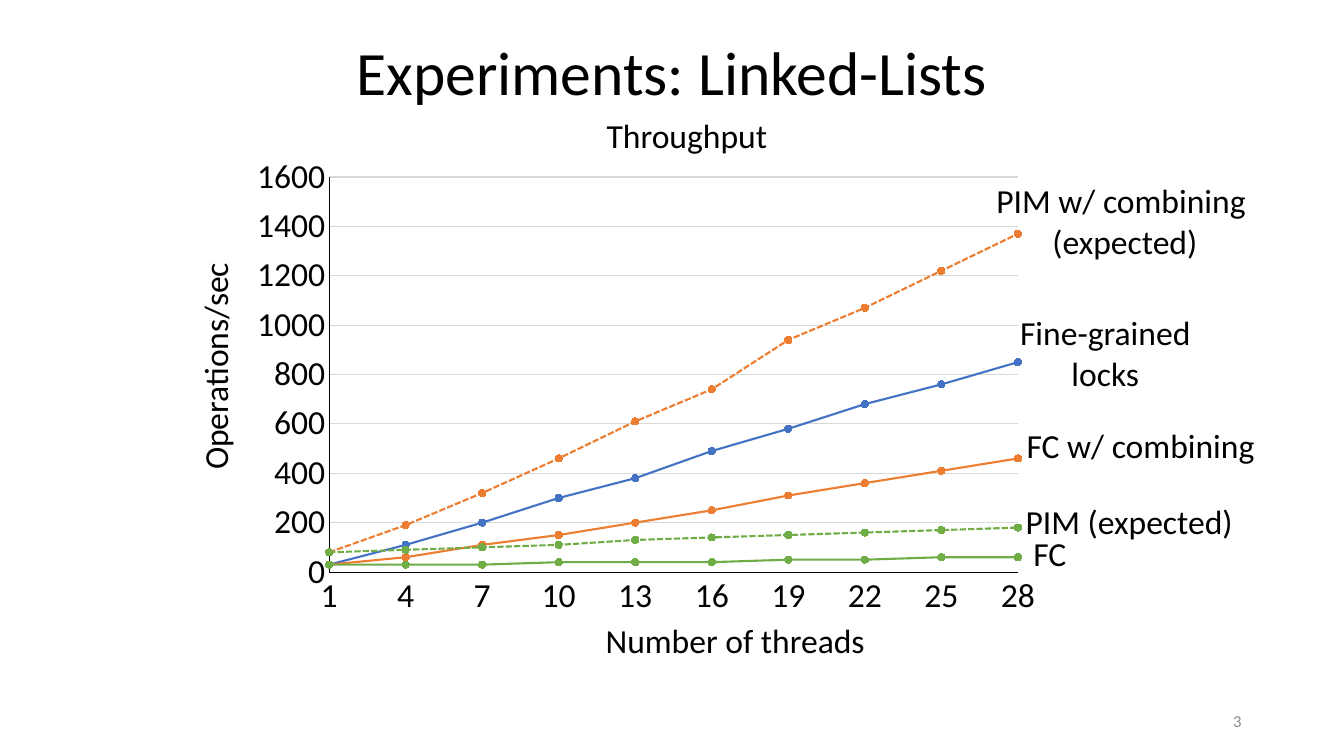
from lxml import etree
from pptx import Presentation
from pptx.chart.data import XyChartData
from pptx.dml.color import RGBColor
from pptx.enum import chart as chart_enum, dml, text
from pptx.oxml import ns
from pptx.util import Pt

FONT = "Calibri"
BLACK, GREY, GRID = "000000", "8C8C8C", "D9D9D9"
GREEN, ORANGE, BLUE = "70AD47", "ED7D31", "4472C4"
LEFT, CENTER, RIGHT = text.PP_ALIGN.LEFT, text.PP_ALIGN.CENTER, text.PP_ALIGN.RIGHT


def color(hex_value):
    """Turn a hex string into a colour."""
    return RGBColor.from_string(hex_value)


def add_text(lines, left, top, width, height, size=24, hex_value=BLACK,
             align=CENTER, wrap=True):
    """Add a text box with one paragraph per line, and return it."""
    box = slide.shapes.add_textbox(Pt(left), Pt(top), Pt(width), Pt(height))
    frame = box.text_frame
    frame.word_wrap = wrap
    frame.vertical_anchor = text.MSO_ANCHOR.MIDDLE
    frame.text = lines
    for paragraph in frame.paragraphs:
        paragraph.alignment = align
        paragraph.font.name = FONT
        paragraph.font.size = Pt(size)
        paragraph.font.color.rgb = color(hex_value)
    return box


presentation = Presentation()
presentation.slide_width, presentation.slide_height = Pt(960), Pt(540)
slide = presentation.slides.add_slide(presentation.slide_layouts[6])

title = add_text("Experiments: Linked-Lists", 66, 1.5, 828, 104.5, size=44)
title.text_frame.paragraphs[0].line_spacing = 0.9
add_text("3", 678, 500.5, 216, 28.8, size=12, hex_value=GREY, align=RIGHT)

# Throughput chart
threads = range(1, 29, 3)
series_styles = [
    ("FC", GREEN, False, [30, 30, 30, 40, 40, 40, 50, 50, 60, 60]),
    ("PIM (expected)", GREEN, True,
     [80, 90, 100, 110, 130, 140, 150, 160, 170, 180]),
    ("FC w/ combining", ORANGE, False,
     [30, 60, 110, 150, 200, 250, 310, 360, 410, 460]),
    ("PIM w/ combining (expected)", ORANGE, True,
     [80, 190, 320, 460, 610, 740, 940, 1070, 1220, 1370]),
    ("Fine-grained locks", BLUE, False,
     [30, 110, 200, 300, 380, 490, 580, 680, 760, 850]),
]
data = XyChartData()
for name, _, _, operations in series_styles:
    series = data.add_series(name)
    for point in zip(threads, operations):
        series.add_data_point(*point)

chart = slide.shapes.add_chart(
    chart_enum.XL_CHART_TYPE.XY_SCATTER_SMOOTH,
    Pt(171.4), Pt(105.8), Pt(578.9), Pt(344.2), data).chart
chart.has_title = chart.has_legend = False
chart.font.name = FONT
chart.font.size = Pt(24)
chart.font.color.rgb = color(BLACK)
plot = chart.plots[0]
plot.vary_by_categories = False

for series, (_, hex_value, dashed, _) in zip(plot.series, series_styles):
    series.smooth = True
    series.format.line.width = Pt(1.5)
    series.format.line.color.rgb = color(hex_value)
    if dashed:
        series.format.line.dash_style = dml.MSO_LINE.SQUARE_DOT
    marker = series.marker
    marker.style = chart_enum.XL_MARKER_STYLE.CIRCLE
    marker.size = 5
    marker.format.fill.solid()
    marker.format.fill.fore_color.rgb = color(hex_value)
    marker.format.line.color.rgb = color(hex_value)

for axis, low, high, step in [(chart.category_axis, 1, 28, 3),
                              (chart.value_axis, 0, 1600, 200)]:
    axis.minimum_scale, axis.maximum_scale, axis.major_unit = low, high, step
    axis.major_tick_mark = axis.minor_tick_mark = chart_enum.XL_TICK_MARK.NONE
    axis.format.line.color.rgb = color(BLACK)
    axis.format.line.width = Pt(0.75)
    axis.tick_labels.number_format = "General"
    axis.tick_labels.number_format_is_linked = False
chart.category_axis.has_major_gridlines = False
gridline = chart.value_axis.major_gridlines.format.line
gridline.color.rgb = color(GRID)
gridline.width = Pt(0.75)

# Fix the inner plot area as fractions of the chart frame
plot_area = plot._element.getparent()
for old_layout in plot_area.findall(ns.qn("c:layout")):
    plot_area.remove(old_layout)
layout = etree.Element(ns.qn("c:layout"))
plot_area.insert(0, layout)
manual = etree.SubElement(layout, ns.qn("c:manualLayout"))
for tag, value in [("layoutTarget", "inner"), ("xMode", "edge"),
                   ("yMode", "edge"), ("x", "0.11"), ("y", "0.06"),
                   ("w", "0.85"), ("h", "0.82")]:
    etree.SubElement(manual, ns.qn("c:" + tag)).set("val", value)

# Axis titles and chart heading
add_text("Number of threads", 425.5, 439.2, 201.6, 36, align=LEFT, wrap=False)
add_text("Throughput", 426.2, 78.5, 130.3, 36, align=LEFT, wrap=False)
add_text("Operations/sec", 58.3, 229.7, 190.1, 36, align=LEFT).rotation = 270

# Curve labels
for label, left, top, width in [
        ("PIM w/ combining \n(expected)", 699.8, 144.7, 207.4),
        ("Fine-grained locks", 712.1, 239, 154.8),
        ("FC w/ combining", 720.7, 305.3, 187.9),
        ("PIM (expected) ", 705.6, 359.3, 207.4),
        ("FC", 697, 382.3, 105.8)]:
    add_text(label, left, top, width, 25.9)

presentation.save("out.pptx")
